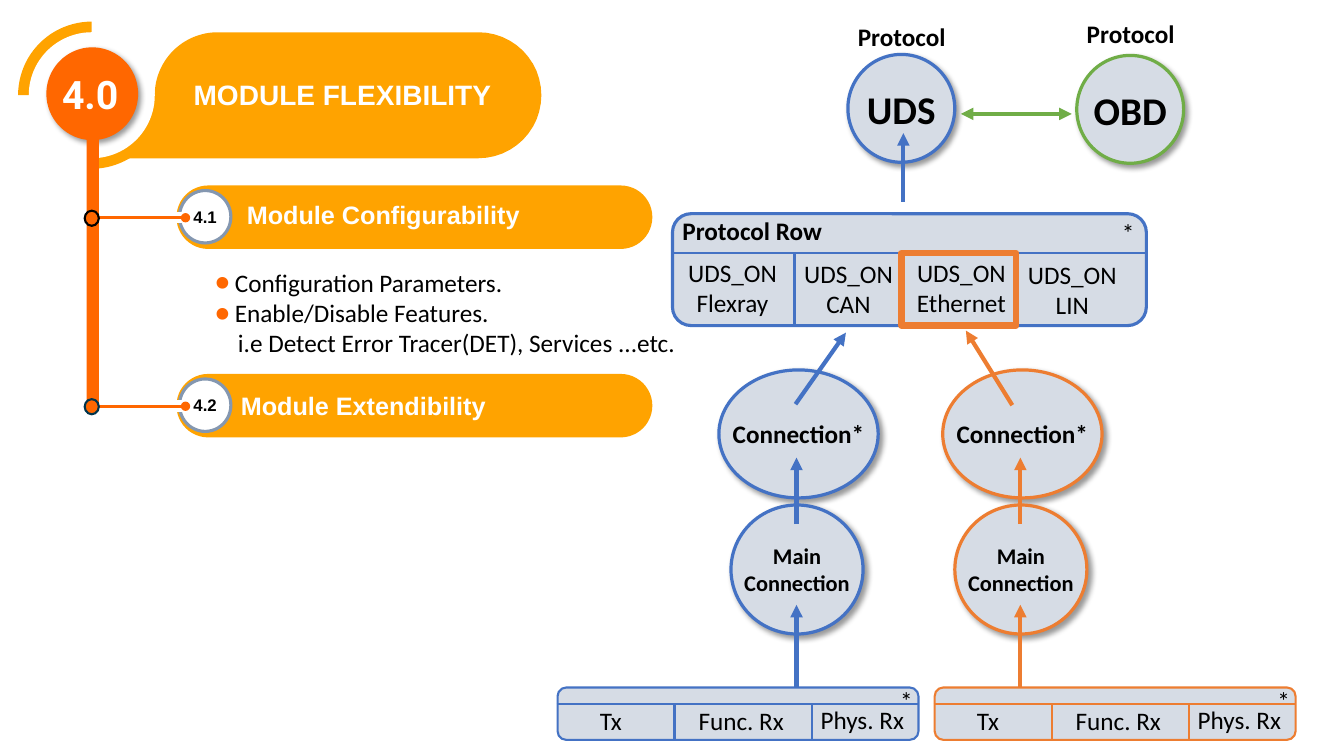
from math import cos, radians, sin

from lxml import etree
from pptx import Presentation
from pptx.dml.color import RGBColor
from pptx.enum.shapes import MSO_CONNECTOR, MSO_SHAPE
from pptx.enum.text import MSO_ANCHOR, MSO_AUTO_SIZE, PP_ALIGN
from pptx.oxml.ns import qn
from pptx.util import Inches, Pt

LEFT, CENTER = PP_ALIGN.LEFT, PP_ALIGN.CENTER
TOP, MIDDLE = MSO_ANCHOR.TOP, MSO_ANCHOR.MIDDLE
OVAL, RECT, ROUND = MSO_SHAPE.OVAL, MSO_SHAPE.RECTANGLE, MSO_SHAPE.ROUNDED_RECTANGLE
STRAIGHT, NO_FIT = MSO_CONNECTOR.STRAIGHT, MSO_AUTO_SIZE.NONE

COLS, ROWS = 13.33, 7.5  # square cells, one inch each
BLUE, ORANGE, GREEN = "4472C4", "ED7D31", "70AD47"
GREY, AMBER, FLAME, STEEL = "D6DCE5", "FFA300", "FF6700", "8497B0"
BLACK, WHITE, NAVY = "000000", "FFFFFF", "00344C"


def rgb(value):
    return RGBColor.from_string(value)


def add_xml(parent, tag, **attrs):
    return etree.SubElement(parent, qn(tag), attrs)


def arc(cx, cy, r, start, end, steps=24):
    """Points on a circle, angles in degrees clockwise from the right."""
    angles = [radians(start + (end - start) * i / steps) for i in range(steps + 1)]
    return [(cx + r * cos(a), cy + r * sin(a)) for a in angles]


def write(tf, text, size=18, font="Calibri", color=BLACK, bold=False,
          align=LEFT, anchor=TOP, wrap=False, inset=None):
    """Fill a text frame: a string is one paragraph with line breaks, a list is several."""
    tf.word_wrap, tf.auto_size, tf.vertical_anchor = wrap, NO_FIT, anchor
    if inset is not None:
        tf.margin_left = tf.margin_right = tf.margin_top = tf.margin_bottom = Inches(inset)
    for i, para in enumerate([text] if isinstance(text, str) else text):
        p = tf.add_paragraph() if i else tf.paragraphs[0]
        p.alignment, p.space_before = align, Pt(0)
        for j, line in enumerate(para.split("\n")):
            if j:
                p.add_line_break()
            r = p.add_run()
            r.text = line
            r.font.name, r.font.size, r.font.bold = font, Pt(size), bold
            r.font.color.rgb = rgb(color)


class Board:
    """Draws on one slide; every length is in grid cells."""

    def __init__(self, prs):
        self.s = prs.slides.add_slide(prs.slide_layouts[1])

    def place(self, sp, x, y, w, h):
        sp.left, sp.top, sp.width, sp.height = (Inches(v) for v in (x, y, w, h))

    def paint(self, sp, fill=None, line=None, width=1.5, shadow=False):
        sp.shadow.inherit = False
        if fill:
            sp.fill.solid()
            sp.fill.fore_color.rgb = rgb(fill)
        else:
            sp.fill.background()
        if line:
            sp.line.color.rgb, sp.line.width = rgb(line), Pt(width)
        else:
            sp.line.fill.background()
        if shadow:
            effects = sp._element.spPr.find(qn("a:effectLst"))
            outer = add_xml(effects, "a:outerShdw", blurRad=str(Pt(4)), dist=str(Pt(3)),
                            dir="2700000", algn="tl", rotWithShape="0")
            add_xml(add_xml(outer, "a:srgbClr", val=BLACK), "a:alpha", val="40000")

    def shape(self, kind, x, y, w, h, adj=None, **style):
        sp = self.s.shapes.add_shape(kind, *(Inches(v) for v in (x, y, w, h)))
        if adj is not None:
            sp.adjustments[0] = adj
        self.paint(sp, **style)
        return sp

    def outline(self, points, fill):
        pts = [(Inches(x), Inches(y)) for x, y in points]
        builder = self.s.shapes.build_freeform(*pts[0])
        builder.add_line_segments(pts[1:], close=True)
        self.paint(builder.convert_to_shape(), fill)

    def line(self, x1, y1, x2, y2, color, width=1.5, head=None, tail=None):
        c = self.s.shapes.add_connector(STRAIGHT, *(Inches(v) for v in (x1, y1, x2, y2)))
        c.line.color.rgb, c.line.width = rgb(color), Pt(width)
        ln = c.line._get_or_add_ln()
        for tag, end in (("a:headEnd", head), ("a:tailEnd", tail)):
            if end:
                add_xml(ln, tag, type=end)
        add_xml(c._element.spPr, "a:effectLst")

    def arrow(self, x1, y1, x2, y2, color, **ends):
        self.line(x1, y1, x2, y2, color, 3, tail="triangle", **ends)

    def label(self, text, x, y, w, h=0.4, **fmt):
        tb = self.s.shapes.add_textbox(*(Inches(v) for v in (x, y, w, h)))
        write(tb.text_frame, text, **fmt)

    def bubble(self, text, x, y, w, h, line, size):
        sp = self.shape(OVAL, x, y, w, h, fill=GREY, line=line, width=2.31, shadow=True)
        write(sp.text_frame, text, size, bold=True, align=CENTER, anchor=MIDDLE, inset=0)

    def title(self, text, x, y, w, h):
        sp = self.s.shapes.title
        self.place(sp, x, y, w, h)
        write(sp.text_frame, text, 20, "Arial", WHITE, bold=True, anchor=MIDDLE)
        self.s.shapes._spTree.append(sp._element)  # in front of its banner

    def body(self, items, x, y, w, h):
        """Fill the body placeholder; items are (text, has bullet) pairs."""
        sp = self.s.placeholders[1]
        self.place(sp, x, y, w, h)
        write(sp.text_frame, [text for text, _ in items])
        for p, (_, bullet) in zip(sp.text_frame.paragraphs, items):
            pPr = p._p.get_or_add_pPr()
            pPr.set("marL", str(Inches(0.2 if bullet else 0.23)))
            pPr.set("indent", str(Inches(-0.2 if bullet else 0)))
            if bullet:
                add_xml(add_xml(pPr, "a:buClr"), "a:srgbClr", val=FLAME)
                add_xml(pPr, "a:buFont", typeface="Calibri")
                add_xml(pPr, "a:buChar", char="●")
            else:
                add_xml(pPr, "a:buNone")

    def lane(self, x, color):
        """One connection above its main connection."""
        self.bubble("Connection*", x - 0.79, 3.67, 1.58, 1.27, color, 18)
        self.bubble("Main\nConnection", x - 0.67, 5.01, 1.31, 1.28, color, 16)
        self.arrow(x - 0.02, 6.82, x - 0.02, 6, color)
        self.arrow(x - 0.02, 5.2, x - 0.02, 4.54, color)

    def pdu_row(self, x, color):
        self.shape(ROUND, x, 6.82, 3.58, 0.52, fill=GREY, line=color)
        for text, dx, y, w in (("Tx", 0.32, 6.95, 0.42), ("Func. Rx", 1.3, 6.95, 1.06),
                               ("Phys. Rx", 2.51, 6.94, 1.04), ("*", 3.3, 6.75, 0.33)):
            self.label(text, x + dx, y, w)
        for dx in (1.16, 2.52):
            self.line(x + dx, 6.98, x + dx, 7.34, color)
        self.line(x - 0.01, 6.98, x + 3.58, 6.98, color)

    def protocol_row(self):
        self.shape(ROUND, 6.67, 2.12, 4.7, 1.11, fill=GREY, line=BLUE, width=2.25)
        for bus, x, y in (("Flexray", 6.62, 2.5), ("CAN", 7.77, 2.51),
                          ("Ethernet", 8.89, 2.5), ("LIN", 9.99, 2.52)):
            self.label("UDS_ON\n" + bus, x, y, 1.29, 0.71, align=CENTER, wrap=True)
        self.label("Protocol Row", 6.67, 2.09, 1.6, bold=True)
        self.label("*", 11.03, 2.11, 0.33)
        self.line(6.67, 2.51, 11.36, 2.51, BLUE)
        for x in (7.88, 8.94, 10.08):
            self.line(x, 2.51, x, 3.23, BLUE)
        self.shape(RECT, 8.94, 2.51, 1.14, 0.72, line=ORANGE, width=4.5)

    def section(self, number, text, y, text_x, text_y):
        """A numbered pill; y is the height of its middle."""
        self.shape(ROUND, 1.75, y - 0.32, 4.72, 0.63, adj=0.5, fill=AMBER)
        sp = self.shape(OVAL, 1.78, y - 0.27, 0.51, 0.52, fill=WHITE, line=STEEL, width=2.25)
        write(sp.text_frame, number, 12, "Arial", bold=True, align=CENTER, anchor=MIDDLE, inset=0)
        self.label(text, text_x, text_y, 3.91, font="Arial", color=WHITE, bold=True, anchor=MIDDLE)
        self.shape(RECT, 1.49, y - 0.05, 0.37, 0.1, fill=WHITE, line=WHITE, width=1)
        self.line(0.94, y, 1.84, y, FLAME, 2.25, tail="oval")

    def banner(self):
        cx, cy, r = 0.91, 0.945, 0.625
        self.outline(arc(cx, cy, r, 90, 0) + arc(cx + 2 * r, cy, r, 180, 270)
                     + arc(4.745, cy, r, -90, 90), AMBER)
        for start in (180, 0):
            self.outline([(cx, cy)] + arc(cx, cy, 0.73, start, start + 90), AMBER)
        self.shape(OVAL, cx - r, cy - r, 2 * r, 2 * r, fill=WHITE)
        self.shape(OVAL, 0.46, 0.47, 0.91, 0.92, fill=FLAME, shadow=True)


def main():
    prs = Presentation()
    prs.slide_width, prs.slide_height = Inches(COLS), Inches(ROWS)
    b = Board(prs)
    b.body([("Configuration Parameters.", True), ("Enable/Disable Features.", True),
            ("i.e Detect Error Tracer(DET), Services ...etc.", False)], 2.03, 2.6, 4.81, 1.01)
    b.protocol_row()
    for lane_x, row_x, color in ((7.92, 5.53, BLUE), (10.14, 9.27, ORANGE)):
        b.lane(lane_x, color)
        b.pdu_row(row_x, color)
    b.arrow(7.89, 4.01, 8.39, 3.3, BLUE)
    b.arrow(10.04, 4.02, 9.58, 3.28, ORANGE)
    for name, x, y, label_y, color in (("UDS", 8.41, 0.54, 0.16, BLUE),
                                       ("OBD", 10.68, 0.55, 0.13, GREEN)):
        b.bubble(name, x, y, 1.06, 1.07, color, 28)
        b.label("Protocol", x, label_y, 1.08, bold=True)
    b.arrow(8.96, 2, 8.96, 1.32, BLUE)
    b.arrow(9.53, 1.13, 10.63, 1.13, GREEN, head="triangle")

    b.banner()
    b.section("4.1", "Module Configurability", 2.16, 2.35, 1.93)
    b.section("4.2", "Module Extendibility", 4.03, 2.29, 3.82)
    b.shape(ROUND, 0.86, 1.15, 0.12, 2.95, adj=0.5, fill=FLAME)
    for y, color in ((2.09, BLACK), (3.96, NAVY)):
        b.shape(OVAL, 0.84, y, 0.14, 0.15, fill=FLAME, line=color)
    b.label("4.0", 0.58, 0.7, 0.63, 0.47, size=28, font="Roboto", color=WHITE, bold=True,
            align=CENTER, anchor=MIDDLE, wrap=True, inset=0)
    b.title("MODULE FLEXIBILITY", 1.82, 0.72, 4.1, 0.44)
    prs.save("out.pptx")


if __name__ == "__main__":
    main()
